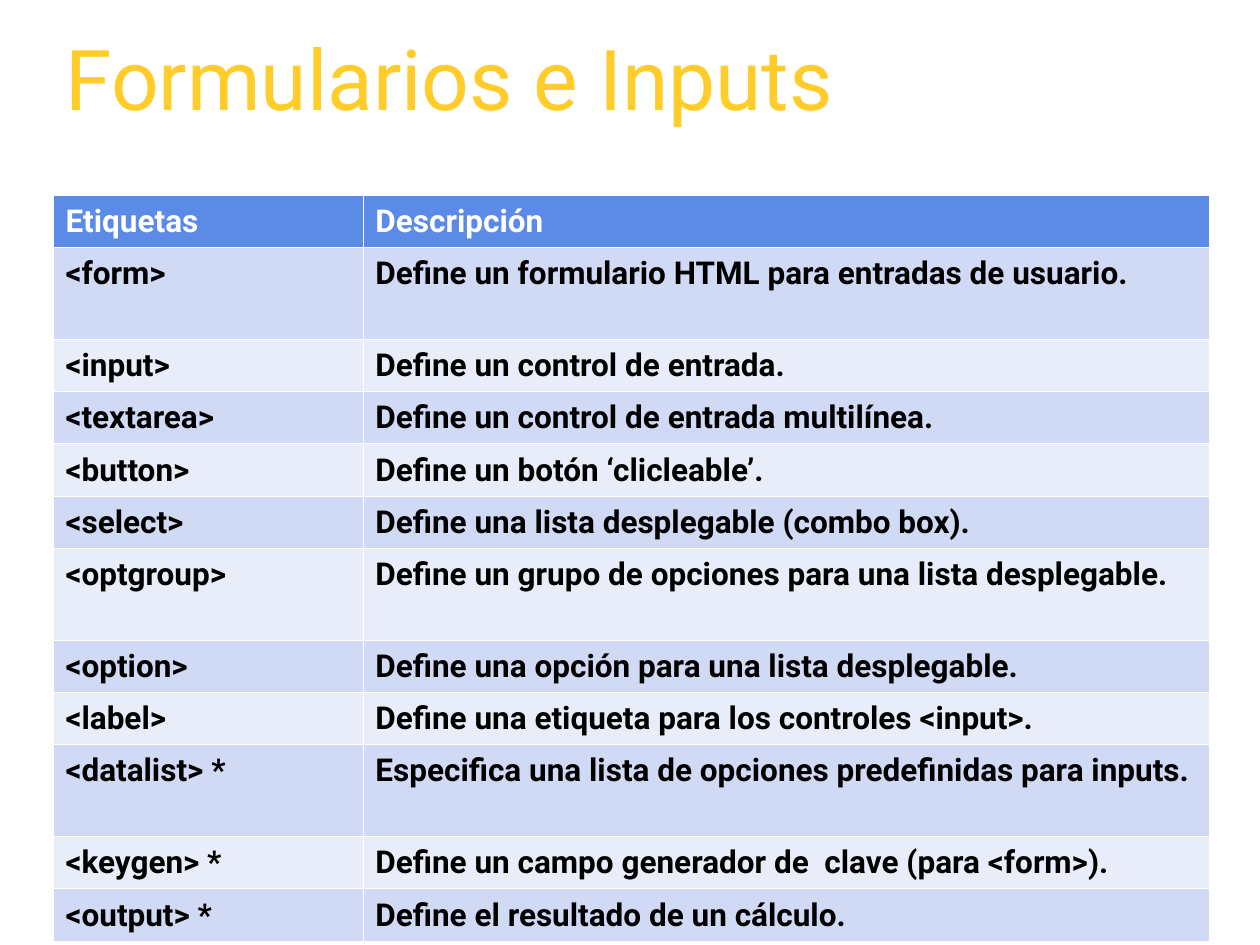
"""Build the slide that lists the HTML form tags and their descriptions."""
from dataclasses import dataclass

from lxml.etree import SubElement
from pptx import Presentation
from pptx.dml.color import RGBColor
from pptx.enum.text import MSO_ANCHOR, MSO_AUTO_SIZE, PP_ALIGN
from pptx.oxml.ns import qn
from pptx.util import Inches, Pt

FONT = "Roboto"
YELLOW = RGBColor(0xFF, 0xCC, 0x29)
BLUE = RGBColor(0x5C, 0x8A, 0xE7)
DARK_BAND = RGBColor(0xD1, 0xDA, 0xF5)
LIGHT_BAND = RGBColor(0xE9, 0xED, 0xFA)
WHITE = RGBColor(0xFF, 0xFF, 0xFF)
BLACK = RGBColor(0, 0, 0)

TABLE_LEFT, TABLE_TOP = 0.42, 1.55
TABLE_HEIGHT = 5.92
COLUMN_WIDTHS = (2.46, 6.72)
TALL_ROW = 0.73


@dataclass(frozen=True)
class TagRow:
    tag: str
    description: str
    tall: bool = False


HEADING = TagRow("Etiquetas", "Descripción")
TAG_ROWS = (
    TagRow("<form>", "Define un formulario HTML para entradas de usuario.", tall=True),
    TagRow("<input>", "Define un control de entrada."),
    TagRow("<textarea>", "Define un control de entrada multilínea."),
    TagRow("<button>", "Define un botón ‘clicleable’."),
    TagRow("<select>", "Define una lista desplegable (combo box)."),
    TagRow("<optgroup>", "Define un grupo de opciones para una lista desplegable.", tall=True),
    TagRow("<option>", "Define una opción para una lista desplegable."),
    TagRow("<label>", "Define una etiqueta para los controles <input>."),
    TagRow("<datalist> *", "Especifica una lista de opciones predefinidas para inputs.", tall=True),
    TagRow("<keygen> *", "Define un campo generador de  clave (para <form>)."),
    TagRow("<output> *", "Define el resultado de un cálculo."),
)


def write(paragraph, text: str, size: float, color: RGBColor, bold: bool, spacing: float) -> None:
    paragraph.alignment = PP_ALIGN.LEFT
    paragraph.line_spacing = spacing
    run = paragraph.add_run()
    run.text = text
    run.font.name = FONT
    run.font.size = Pt(size)
    run.font.bold = bold
    run.font.color.rgb = color


def add_borders(cell, color: RGBColor, width: float) -> None:
    properties = cell._tc.get_or_add_tcPr()
    for position, side in enumerate(("lnL", "lnR", "lnT", "lnB")):
        border = SubElement(properties, qn(f"a:{side}"), w=str(Pt(width)))
        properties.insert(position, border)
        fill = SubElement(border, qn("a:solidFill"))
        SubElement(fill, qn("a:srgbClr"), val=str(color))


def fill_cell(cell, text: str, background: RGBColor, color: RGBColor) -> None:
    cell.fill.solid()
    cell.fill.fore_color.rgb = background
    add_borders(cell, WHITE, 0.45)
    write(cell.text_frame.paragraphs[0], text, 18, color, True, 1.05)


def add_title(slide, text: str) -> None:
    title = slide.shapes.title
    title.left, title.top = Inches(0.42), Inches(0.25)
    title.width, title.height = Inches(9.18), Inches(0.82)
    frame = title.text_frame
    frame.word_wrap = True
    frame.auto_size = MSO_AUTO_SIZE.NONE
    frame.vertical_anchor = MSO_ANCHOR.MIDDLE
    write(frame.paragraphs[0], text, 48, YELLOW, False, 0.9)


def add_tag_table(slide, heading: TagRow, tag_rows: tuple[TagRow, ...]) -> None:
    rows = (heading, *tag_rows)
    tall_count = sum(row.tall for row in rows)
    short_row = (TABLE_HEIGHT - tall_count * TALL_ROW) / (len(rows) - tall_count)
    table = slide.shapes.add_table(
        len(rows), len(COLUMN_WIDTHS), Inches(TABLE_LEFT), Inches(TABLE_TOP),
        Inches(sum(COLUMN_WIDTHS)), Inches(TABLE_HEIGHT),
    ).table
    for column, width in zip(table.columns, COLUMN_WIDTHS):
        column.width = Inches(width)
    for index, row in enumerate(rows):
        table.rows[index].height = Inches(TALL_ROW if row.tall else short_row)
        band = DARK_BAND if index % 2 else LIGHT_BAND
        background, color = (BLUE, WHITE) if row is heading else (band, BLACK)
        for column_index, text in enumerate((row.tag, row.description)):
            fill_cell(table.cell(index, column_index), text, background, color)


def main() -> None:
    presentation = Presentation()
    presentation.slide_width, presentation.slide_height = Inches(10), Inches(7.5)
    slide = presentation.slides.add_slide(presentation.slide_layouts[5])
    add_title(slide, "Formularios e Inputs")
    add_tag_table(slide, HEADING, TAG_ROWS)
    presentation.save("out.pptx")


if __name__ == "__main__":
    main()
